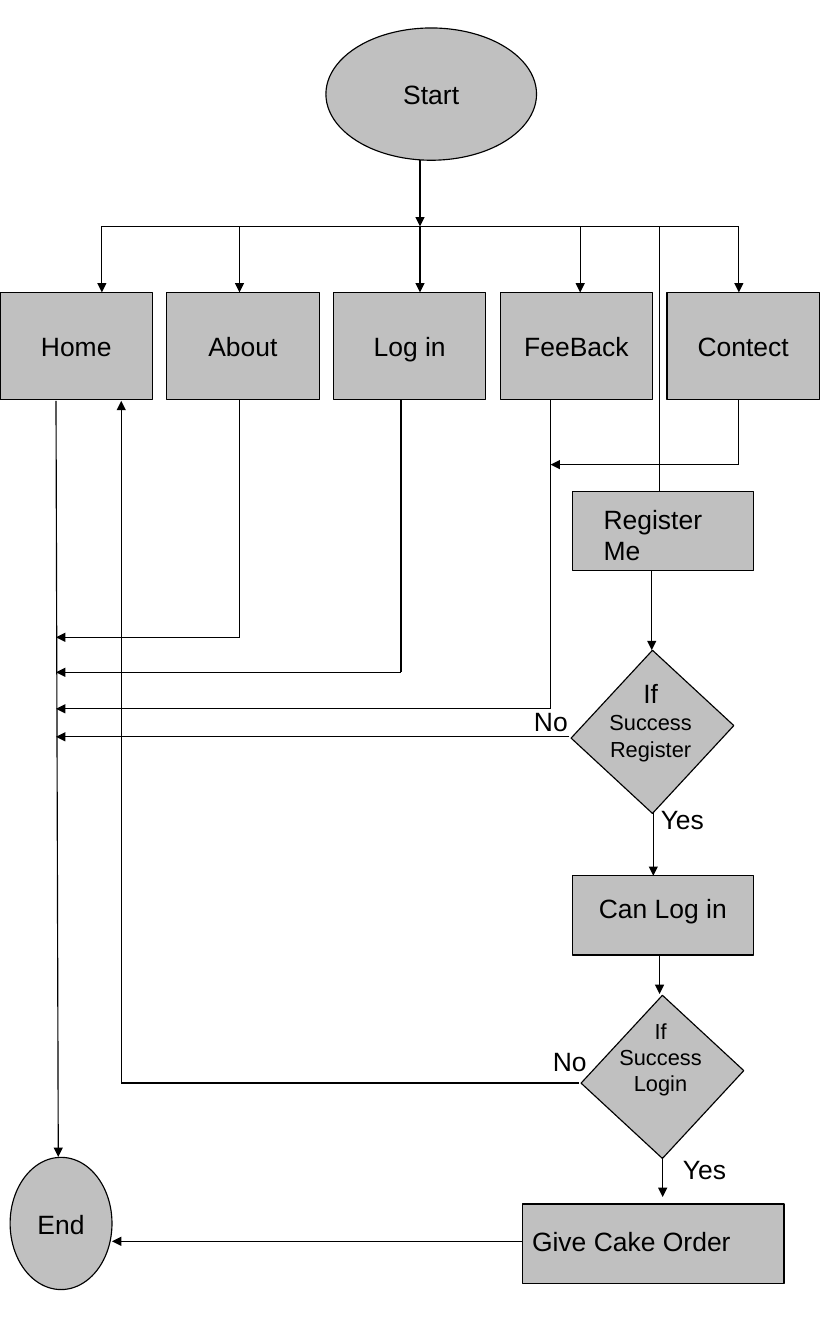
from itertools import pairwise

from lxml.etree import SubElement
from pptx import Presentation
from pptx.dml.color import RGBColor
from pptx.enum.shapes import MSO_CONNECTOR, MSO_SHAPE
from pptx.enum.text import MSO_ANCHOR, PP_ALIGN
from pptx.oxml.ns import qn
from pptx.util import Pt

BLACK = RGBColor(0x00, 0x00, 0x00)
GRAY = RGBColor(0xC0, 0xC0, 0xC0)
FONT = "Arial"
LARGE, SMALL = 17, 14
LINE = 0.75


def write_text(frame, lines, sizes, align):
    frame.word_wrap = False
    frame.margin_left = frame.margin_right = Pt(7)
    frame.margin_top = frame.margin_bottom = Pt(3.6)
    frame.text = "\n".join(lines)
    for para, size in zip(frame.paragraphs, sizes):
        para.alignment = align
        for span in para.runs:
            span.font.name = FONT
            span.font.size = Pt(size)
            span.font.color.rgb = BLACK


def add_node(page, kind, box, text=None):
    node = page.shapes.add_shape(kind, *map(Pt, box))
    node.shadow.inherit = False
    node.fill.solid()
    node.fill.fore_color.rgb = GRAY
    node.line.color.rgb = BLACK
    node.line.width = Pt(LINE)
    if text:
        write_text(node.text_frame, [text], [LARGE], PP_ALIGN.CENTER)
        node.text_frame.vertical_anchor = MSO_ANCHOR.MIDDLE
    return node


def add_label(page, box, lines, sizes=(LARGE,), align=PP_ALIGN.LEFT):
    label = page.shapes.add_textbox(*map(Pt, box))
    write_text(label.text_frame, lines, sizes, align)


def add_route(page, points, arrow=True):
    for start, end in pairwise(points):
        link = page.shapes.add_connector(MSO_CONNECTOR.STRAIGHT, *map(Pt, start + end))
        link.line.color.rgb = BLACK
        link.line.width = Pt(LINE)
        properties = link.element.spPr
        if arrow and end == points[-1]:
            SubElement(properties.find(qn("a:ln")), qn("a:tailEnd"), type="triangle")
        SubElement(properties, qn("a:effectLst"))


def draw_menu(page, left, top):
    add_node(page, MSO_SHAPE.OVAL, (left + 209.5, top, 135.4, 85), "Start")
    bus, tiles = top + 127.5, top + 170
    for index, name in enumerate(["Home", "About", "Log in", "FeeBack", "Contect"]):
        add_node(page, MSO_SHAPE.RECTANGLE, (left + index * 107.2, tiles, 98, 68.7), name)
    drops = [left + x for x in (65.5, 154, 270, 373, 475)]
    add_route(page, [(drops[0], bus), (drops[-1], bus)], arrow=False)
    add_route(page, [(left + 270, top + 85), (left + 270, bus)])
    for x in drops:
        add_route(page, [(x, bus), (x, tiles)])
    add_route(page, [(left + 424, bus), (left + 424, top + 298)], arrow=False)


def draw_task(page, left, top, width, title, title_box):
    add_node(page, MSO_SHAPE.RECTANGLE, (left, top, width, 51))
    dx, dy, title_width = title_box
    add_label(page, (left + dx, top + dy, title_width, 27.5), [title])


def draw_check(page, left, top, lines, sizes, text_offset, no_offset, yes_offset):
    diamond = add_node(page, MSO_SHAPE.RECTANGLE, (left, top, 71.3, 77))
    diamond.rotation = 42.8
    add_label(page, (left, top + text_offset, 69, 61), lines, sizes, PP_ALIGN.CENTER)
    for answer, (dx, dy), width in (("No", no_offset, 36), ("Yes", yes_offset, 44)):
        add_label(page, (left + dx, top + dy, width, 28), [answer])


def draw_returns(page, left, top):
    spine = left + 36
    for x, y in ((154, 153), (257.8, 175.5), (354, 199)):
        add_route(page, [(left + x, top), (left + x, top + y), (spine, top + y)])
    add_route(page, [(left + 475, top), (left + 475, top + 42), (left + 354, top + 42)])
    add_route(page, [(left + 366, top + 217), (spine, top + 217)])
    add_route(page, [(spine, top + 1), (spine + 1.5, top + 487)])
    home = left + 78
    add_route(page, [(left + 372, top + 439.5), (home, top + 439.5), (home, top + 1)])


def draw_descent(page, left, top):
    for x, start, end in ((419, 0, 51), (420, 155, 196), (424, 247, 272), (426, 377, 402.5)):
        add_route(page, [(left + x, top + start), (left + x, top + end)])


def draw_finish(page, left, top):
    add_node(page, MSO_SHAPE.OVAL, (left, top, 65.5, 85), "End")
    draw_task(page, left + 329.5, top + 30, 168, "Give Cake Order", (-1, 10, 142))
    add_route(page, [(left + 329.5, top + 54), (left + 65.5, top + 54)])


def main():
    deck = Presentation()
    deck.slide_width, deck.slide_height = Pt(540), Pt(864)
    page = deck.slides.add_slide(deck.slide_layouts[6])
    draw_menu(page, 0, 18)
    draw_task(page, 368, 316, 116.6, "Register Me", (13, 3.6, 105))
    draw_check(page, 383.8, 432, ["If", "Success", "Register"],
               [LARGE, SMALL, SMALL], 0, (-47.5, 18), (34, 80.6))
    draw_task(page, 368, 563, 116.6, "Can Log in", (10, 7.2, 98.6))
    draw_check(page, 390.2, 653.8, ["If", "Success", "Login"],
               [SMALL] * 3, -3, (-41.8, 14.4), (41.8, 84.2))
    draw_returns(page, 0, 256.7)
    draw_descent(page, 0, 367)
    draw_finish(page, 6.5, 744)
    deck.save("out.pptx")


if __name__ == "__main__":
    main()
